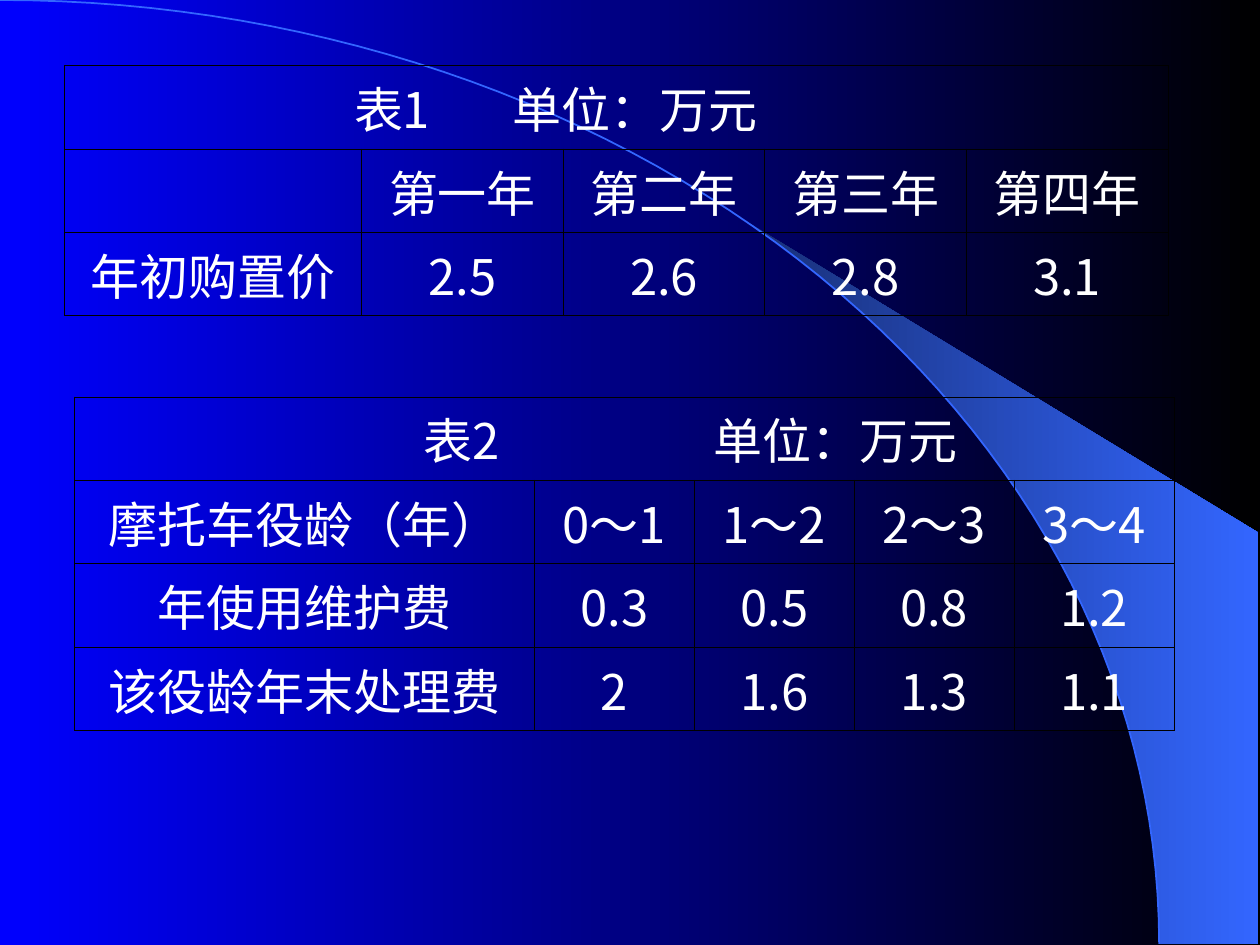
import math

import pptx
import pptx.dml.color
import pptx.enum.text
import pptx.oxml
import pptx.oxml.ns
import pptx.util

Inches, Pt = pptx.util.Inches, pptx.util.Pt

FONT = "Noto Sans CJK SC"
COLORS = {
    "blue": "0000FF",
    "black": "000000",
    "text": "FFFFFF",
    "arc": "3366FF",
    "wedge_dark": "182F76",
}

# title_tabs: tab stops of the table number and of the unit
TABLES = [
    {
        "left": 0.51, "top": 0.52, "row_height": 0.63,
        "columns": [2.36, 1.6, 1.6, 1.6, 1.6],
        "title": "\t表1\t单位：万元", "title_tabs": [2.2, 3.46],
        "rows": [
            ["", "第一年", "第二年", "第三年", "第四年"],
            ["年初购置价", "2.5", "2.6", "2.8", "3.1"],
        ],
    },
    {
        "left": 0.59, "top": 3.15, "row_height": 0.57,
        "columns": [3.65, 1.27, 1.27, 1.27, 1.27],
        "title": "\t表2\t单位：万元", "title_tabs": [2.67, 4.97],
        "rows": [
            ["摩托车役龄（年）", "0～1", "1～2", "2～3", "3～4"],
            ["年使用维护费", "0.3", "0.5", "0.8", "1.2"],
            ["该役龄年末处理费", "2", "1.6", "1.3", "1.1"],
        ],
    },
]

ARC_WIDTH, ARC_HEIGHT = 9.2, 7.49
WEDGE_TIP_X = 5.89
WEDGE_RIGHT = [(9.99, 7.49), (9.99, 4.23)]


def rgb(name):
    return pptx.dml.color.RGBColor.from_string(COLORS[name])


def set_gradient(fill, start, end):
    fill.gradient()
    fill.gradient_angle = 0
    for stop, name in zip(fill.gradient_stops, (start, end)):
        stop.color.rgb = rgb(name)


def arc_points(start, end, steps=60):
    """Points of the quarter ellipse, angles measured from its top."""
    angles = [start + (end - start) * i / steps for i in range(steps + 1)]
    return [(ARC_WIDTH * math.sin(a), ARC_HEIGHT * (1 - math.cos(a))) for a in angles]


def add_freeform(slide, points, close):
    first, *rest = [(Inches(x), Inches(y)) for x, y in points]
    builder = slide.shapes.build_freeform(*first)
    builder.add_line_segments(rest, close=close)
    sp = builder.convert_to_shape()
    sp.shadow.inherit = False
    return sp


def add_backdrop(slide):
    set_gradient(slide.background.fill, "blue", "black")
    tip = math.asin(WEDGE_TIP_X / ARC_WIDTH)
    wedge = add_freeform(slide, arc_points(tip, math.pi / 2) + WEDGE_RIGHT, True)
    set_gradient(wedge.fill, "wedge_dark", "arc")
    wedge.line.fill.background()
    arc = add_freeform(slide, arc_points(0, math.pi / 2), False)
    arc.fill.background()
    arc.line.color.rgb = rgb("arc")
    arc.line.width = Pt(1)


def set_borders(cell):
    tc_pr = cell._tc.get_or_add_tcPr()
    for i, side in enumerate(("lnL", "lnR", "lnT", "lnB")):
        tc_pr.insert(i, pptx.oxml.parse_xml(
            f'<a:{side} {pptx.oxml.ns.nsdecls("a")} w="{Pt(0.45)}"><a:solidFill>'
            f'<a:srgbClr val="{COLORS["black"]}"/></a:solidFill></a:{side}>'))


def write_cell(cell, text):
    cell.vertical_anchor = pptx.enum.text.MSO_ANCHOR.MIDDLE
    p = cell.text_frame.paragraphs[0]
    p.alignment = pptx.enum.text.PP_ALIGN.CENTER
    if text:
        r = p.add_run()
        r.text = text
        r.font.size = Pt(28)
        r.font.name = FONT
        r.font.color.rgb = rgb("text")
        r.font._element.append(pptx.oxml.parse_xml(
            f'<a:ea {pptx.oxml.ns.nsdecls("a")} typeface="{FONT}"/>'))
    return p


def write_title(cell, data):
    p = write_cell(cell, data["title"])
    p.alignment = pptx.enum.text.PP_ALIGN.LEFT
    tabs = "".join(f'<a:tab pos="{Inches(x)}" algn="l"/>' for x in data["title_tabs"])
    p._p.get_or_add_pPr().append(pptx.oxml.parse_xml(
        f'<a:tabLst {pptx.oxml.ns.nsdecls("a")}>{tabs}</a:tabLst>'))


def add_price_table(slide, data):
    widths, rows = data["columns"], data["rows"]
    n_rows = len(rows) + 1
    table = slide.shapes.add_table(
        n_rows, len(widths), Inches(data["left"]), Inches(data["top"]),
        Inches(sum(widths)), Inches(data["row_height"] * n_rows)).table
    table.first_row = table.horz_banding = False
    for column, width in zip(table.columns, widths):
        column.width = Inches(width)
    for row in table.rows:
        row.height = Inches(data["row_height"])
        for cell in row.cells:
            cell.fill.background()
            set_borders(cell)
    table.cell(0, 0).merge(table.cell(0, len(widths) - 1))
    write_title(table.cell(0, 0), data)
    for i, values in enumerate(rows, 1):
        for j, value in enumerate(values):
            write_cell(table.cell(i, j), value)


def main():
    prs = pptx.Presentation()
    prs.slide_width, prs.slide_height = Inches(10), Inches(7.5)
    s = prs.slides.add_slide(prs.slide_layouts[6])
    add_backdrop(s)
    for data in TABLES:
        add_price_table(s, data)
    prs.save("out.pptx")


if __name__ == "__main__":
    main()
